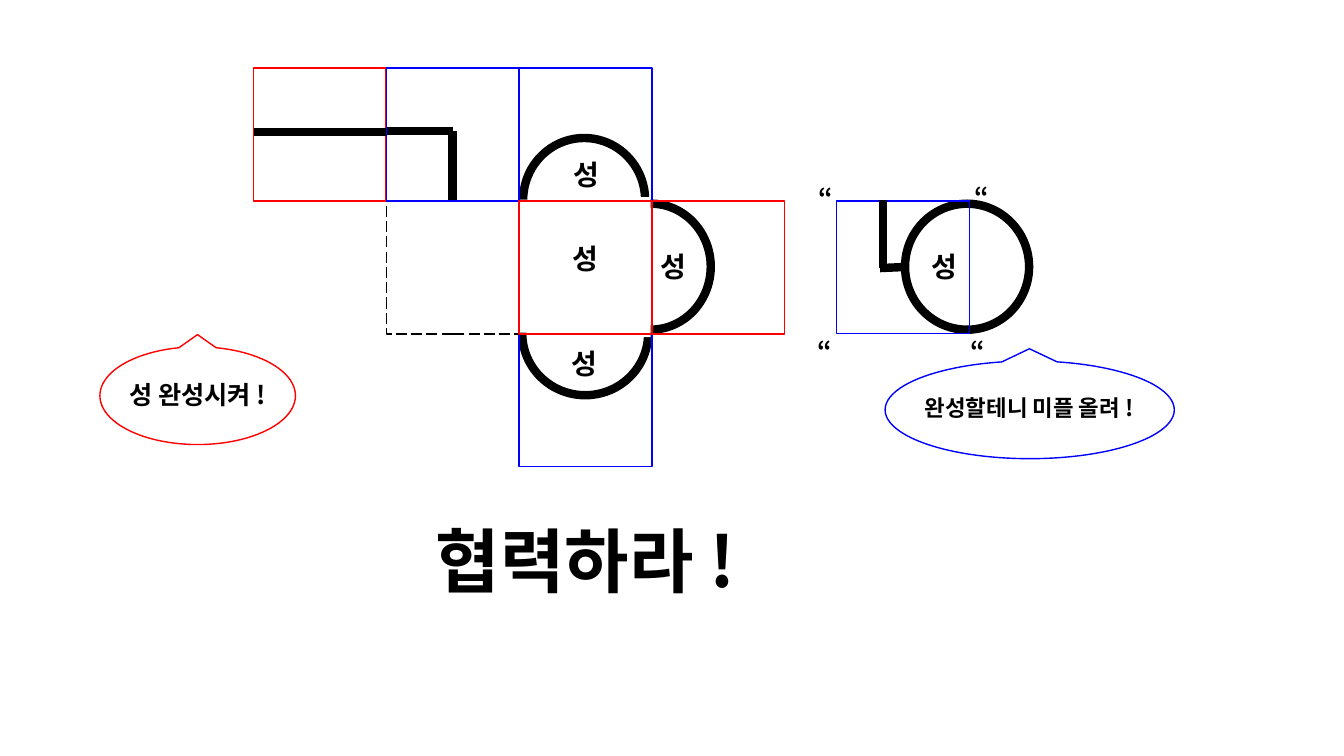
from lxml.etree import SubElement
from pptx import Presentation
from pptx.dml.color import RGBColor
from pptx.enum.dml import MSO_LINE_DASH_STYLE as Dash
from pptx.enum.shapes import MSO_CONNECTOR, MSO_SHAPE as Shape
from pptx.enum.text import MSO_ANCHOR, PP_ALIGN
from pptx.oxml.ns import qn
from pptx.util import Pt

FONT = "Noto Sans CJK KR"
BLACK = RGBColor(0x00, 0x00, 0x00)
WHITE = RGBColor(0xFF, 0xFF, 0xFF)
RED = RGBColor(0xFF, 0x00, 0x00)
BLUE = RGBColor(0x00, 0x00, 0xFF)

SIDE = 94.9
GRID_LEFT, GRID_TOP = 181, 48.7
THIN, THICK = 1, 6
TITLE = ("협력하라 !", (283.7, 365.8, 269.3, 67.7), 50)

# Each part, back to front:
#   ("text", words, left, top, width, height, size)
#   ("ring" or "mask", left, top, width, height, rotation)
#   ("path", from x, from y, to x, to y)
#   ("cell", column, row, colour, dash) or ("square", left, top, colour)
#   ("callout", left, top, width, height, colour)
QUOTED_CASTLE = [
    ("text", "“", 575.3, 126.7, 28.8, 28.8, 18),
    ("text", "“", 574.6, 236.2, 28.8, 28.8, 18),
    ("text", "“", 684, 236.2, 28.8, 28.8, 18),
    ("text", "“", 686.9, 126, 28.8, 28.8, 18),
    ("ring", 645.8, 146.2, 90, 88.6, 270),
    ("square", 597.6, 143.5, BLUE),
    ("text", "성", 656.6, 175, 35.3, 31.7, 20),
    ("path", 630.7, 142.6, 630.7, 191.5),
    ("path", 628.6, 191.5, 644.4, 190.8),
]
UNFOLDED_BOARD = [
    ("cell", 0, 0, RED, None),
    ("path", 181.4, 94.3, 275.8, 94.3),
    ("path", 275.8, 93.6, 323.3, 93.6),
    ("path", 323.3, 93.6, 323.3, 143.3),
    ("ring", 373, 193.7, 90, 88.6, 180),
    ("mask", 367.2, 184.3, 100.1, 53.3, 180),
    ("cell", 2, 2, BLUE, None),
    ("text", "성", 399.6, 244.1, 35.3, 31.7, 20),
    ("ring", 373.7, 98.6, 87.1, 88.6, 0),
    ("mask", 368.6, 142.6, 97.9, 53.3, 0),
    ("text", "성", 401, 108.7, 35.3, 31.7, 20),
    ("cell", 1, 1, BLACK, Dash.LONG_DASH),
    ("ring", 419.8, 147.6, 90, 85.7, 90),
    ("mask", 388.8, 164.9, 100.1, 51.8, 90),
    ("text", "성", 463, 175, 35.3, 31.7, 20),
    ("cell", 3, 1, RED, None),
    ("text", "성", 400.3, 169.2, 35.3, 31.7, 20),
    ("cell", 2, 0, BLUE, None),
    ("cell", 1, 0, BLUE, None),
    ("cell", 2, 1, RED, None),
]
RED_SPEECH = [
    ("callout", 71.3, 247.7, 139.7, 69.8, RED),
    ("text", "성 완성시켜 !", 71.3, 267.1, 139.7, 28.8, 18),
]
BLUE_SPEECH = [
    ("callout", 632.2, 257.8, 206.6, 69.8, BLUE),
    ("text", "완성할테니 미플 올려 !", 640.8, 277.9, 188.6, 26.6, 16),
]


def write(box, words, size):
    frame = box.text_frame
    frame.word_wrap = True
    frame.vertical_anchor = MSO_ANCHOR.TOP
    para = frame.paragraphs[0]
    para.alignment = PP_ALIGN.CENTER
    span = para.add_run()
    span.text = words
    font = span.font
    font.size, font.bold, font.name = Pt(size), True, FONT
    font.color.rgb = BLACK
    SubElement(span._r.get_or_add_rPr(), qn("a:ea")).set("typeface", FONT)


def add_outline(shapes, preset, place, colour, weight=THIN, rotation=0, dash=None):
    """Add an unfilled preset shape with a coloured border."""
    shape = shapes.add_shape(preset, *map(Pt, place))
    shape.shadow.inherit = False
    shape.rotation = rotation
    shape.fill.background()
    shape.line.color.rgb = colour
    shape.line.width = Pt(weight)
    if dash is not None:
        shape.line.dash_style = dash
    return shape


def add_text(shapes, words, left, top, width, height, size):
    box = shapes.add_textbox(Pt(left), Pt(top), Pt(width), Pt(height))
    write(box, words, size)


def add_ring(shapes, *frame):
    add_outline(shapes, Shape.OVAL, frame[:4], BLACK, THICK, frame[4])


def add_mask(shapes, *frame):
    """Add the white block that hides half of a ring."""
    mask = add_outline(shapes, Shape.RECTANGLE, frame[:4], WHITE, rotation=frame[4])
    mask.fill.solid()
    mask.fill.fore_color.rgb = WHITE
    mask.line.fill.background()


def add_square(shapes, left, top, colour, dash=None):
    add_outline(shapes, Shape.RECTANGLE, (left, top, SIDE, SIDE), colour, dash=dash)


def add_cell(shapes, column, row, colour, dash):
    add_square(shapes, GRID_LEFT + column * SIDE, GRID_TOP + row * SIDE, colour, dash)


def add_path(shapes, *ends):
    line = shapes.add_connector(MSO_CONNECTOR.STRAIGHT, *map(Pt, ends))
    line.line.color.rgb = BLACK
    line.line.width = Pt(THICK)
    SubElement(line._element.spPr, qn("a:effectLst"))


def add_callout(shapes, left, top, width, height, colour):
    callout = add_outline(shapes, Shape.OVAL_CALLOUT, (left, top, width, height),
                          colour, rotation=180)
    callout.adjustments[0] = 0.001
    callout.adjustments[1] = 0.625


BUILDERS = {"text": add_text, "ring": add_ring, "mask": add_mask, "path": add_path,
            "square": add_square, "cell": add_cell, "callout": add_callout}


def main():
    deck = Presentation()
    deck.slide_width, deck.slide_height = Pt(960), Pt(540)
    page = deck.slides.add_slide(deck.slide_layouts[5])

    words, place, size = TITLE
    title = page.shapes.title
    title.left, title.top, title.width, title.height = map(Pt, place)
    write(title, words, size)

    for parts in (QUOTED_CASTLE, UNFOLDED_BOARD, RED_SPEECH, BLUE_SPEECH):
        group = page.shapes.add_group_shape()
        for kind, *details in parts:
            BUILDERS[kind](group.shapes, *details)

    deck.save("out.pptx")


if __name__ == "__main__":
    main()
